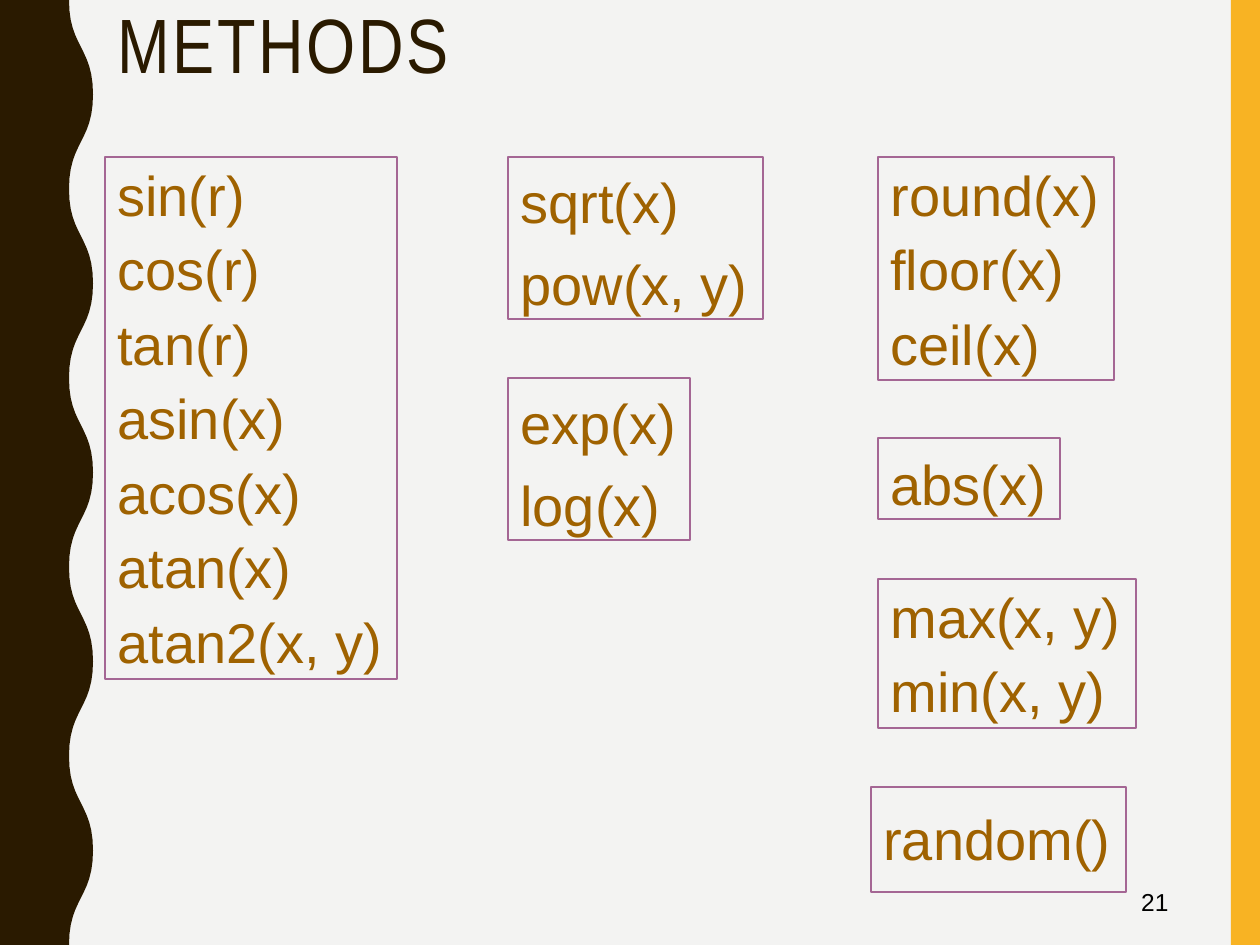
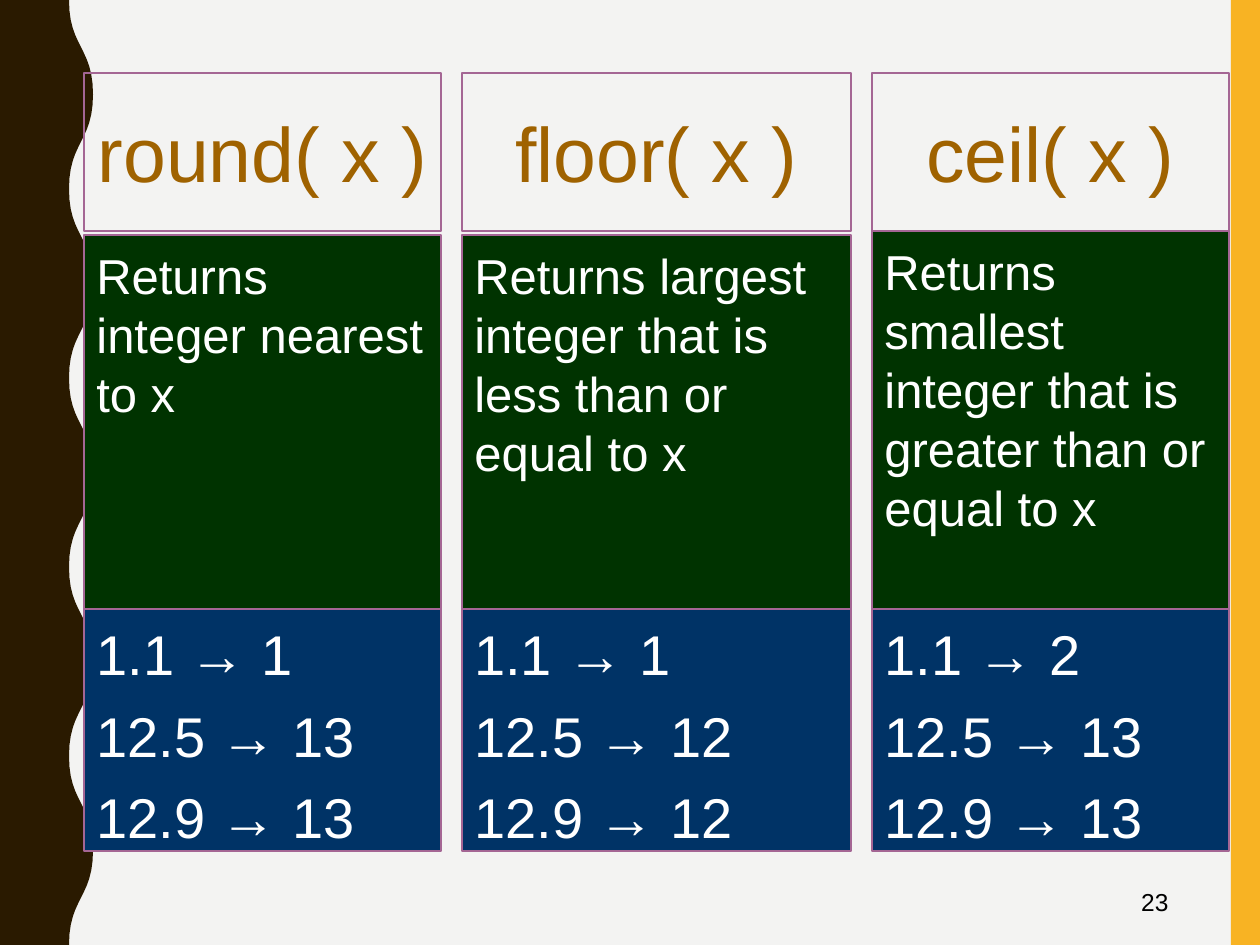
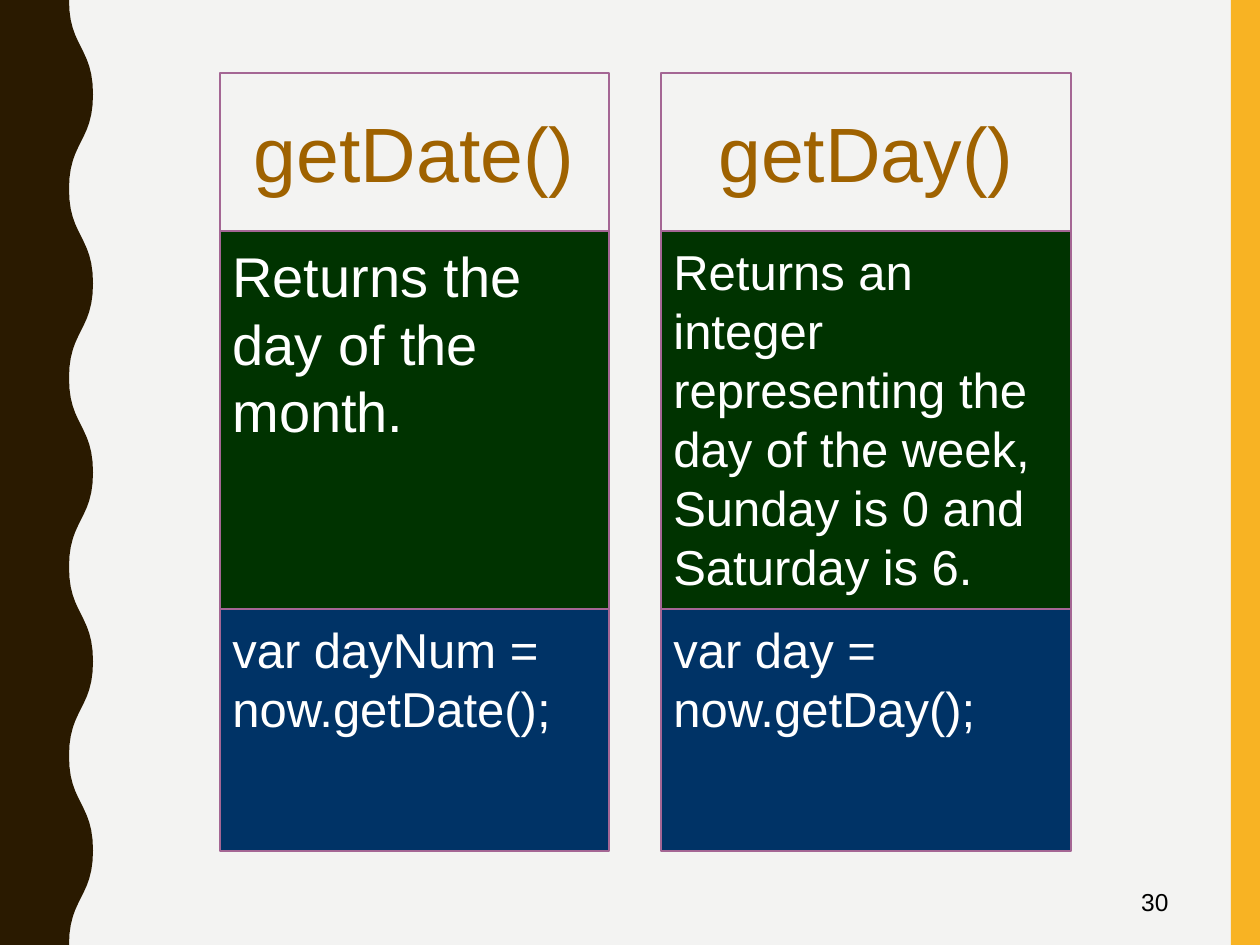
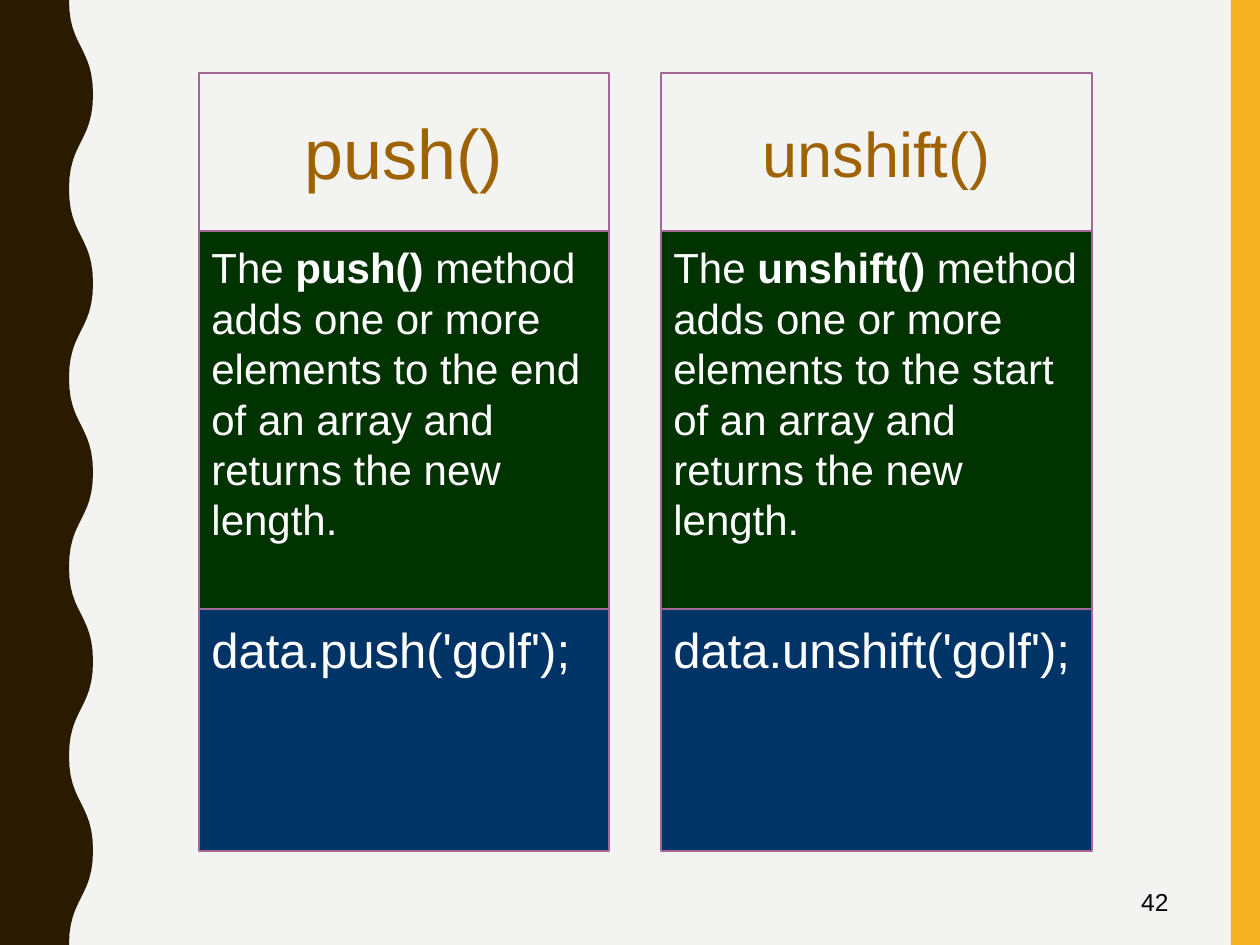
"""Build four slides of script method reference cards with a wavy side band."""
from pptx import Presentation
from pptx.dml.color import RGBColor
from pptx.enum.shapes import MSO_SHAPE
from pptx.enum.text import MSO_ANCHOR as ANCHOR, PP_ALIGN as ALIGN
from pptx.util import Emu, Pt

PX = 914400 / 126
WIDTH, HEIGHT = 1260, 945
COLORS = {
    "paper": "F3F3F2", "band": "2A1A00", "stripe": "F8B323", "outline": "A46694",
    "method": "9F6200", "green": "003300", "blue": "003366",
    "white": "FFFFFF", "black": "000000",
}
BASE = {
    "size": 32, "color": "method", "font": "Arial", "fill": None, "line": None,
    "anchor": ANCHOR.TOP, "align": ALIGN.LEFT, "wrap": True, "inset": 6,
    "spacing": 1.0, "tracking": 0,
}
TITLE = BASE | {"size": 44, "color": "band", "font": "Arial Narrow", "spacing": 0.9, "tracking": 150}
NUMBER = BASE | {"size": 14, "color": "black", "anchor": ANCHOR.MIDDLE, "align": ALIGN.RIGHT}
METHOD = BASE | {"fill": "paper", "line": 0.75, "wrap": False, "inset": 11}
HEADER = BASE | {"line": 0.75, "anchor": ANCHOR.MIDDLE, "align": ALIGN.CENTER}
DESCRIPTION = BASE | {"fill": "green", "color": "white", "line": 1, "inset": 11}
EXAMPLE = DESCRIPTION | {"fill": "blue"}


def rgb(name):
    return RGBColor.from_string(COLORS[name])


def add_box(slide, frame, lines, style):
    frame = [Emu(round(value * PX)) for value in frame]
    if style["fill"] or style["line"]:
        shape = slide.shapes.add_shape(MSO_SHAPE.RECTANGLE, *frame)
        shape.shadow.inherit = False
        if style["fill"]:
            shape.fill.solid()
            shape.fill.fore_color.rgb = rgb(style["fill"])
        else:
            shape.fill.background()
        if style["line"]:
            shape.line.color.rgb = rgb("outline")
            shape.line.width = Pt(style["line"])
        else:
            shape.line.fill.background()
    else:
        shape = slide.shapes.add_textbox(*frame)
    text_frame = shape.text_frame
    frame_format = {
        "word_wrap": style["wrap"],
        "vertical_anchor": style["anchor"],
        "margin_top": Emu(round(style["inset"] * PX)),
    }
    for name, value in frame_format.items():
        setattr(text_frame, name, value)
    for index, line in enumerate(lines):
        paragraph = text_frame.add_paragraph() if index else text_frame.paragraphs[0]
        paragraph.alignment = style["align"]
        paragraph.line_spacing = style["spacing"]
        if index:
            paragraph.space_before = Pt(8)
        for part, text in enumerate(line.split("**")):
            run = paragraph.add_run()
            run.text = text
            run.font.color.rgb = rgb(style["color"])
            font_format = {"name": style["font"], "size": Pt(style["size"]), "bold": part % 2 == 1}
            for name, value in font_format.items():
                setattr(run.font, name, value)
            if style["tracking"]:
                run.font._element.set("spc", str(style["tracking"]))


presentation = Presentation()
presentation.slide_width = Emu(round(WIDTH * PX))
presentation.slide_height = Emu(round(HEIGHT * PX))
background = presentation.slide_master.background.fill
background.solid()
background.fore_color.rgb = rgb("paper")

TROUGH, CREST, HALF_WAVES, STEPS = 69, 93, 10, 12
wave_points = [(TROUGH, 0)]
for half_wave in range(HALF_WAVES):
    for step in range(1, STEPS + 1):
        t = step / STEPS
        rise = 3 * t**2 - 2 * t**3
        if half_wave % 2:
            rise = 1 - rise
        drop = 1.5 * t * (1 - t) + t**3
        wave_points.append((TROUGH + (CREST - TROUGH) * rise, (half_wave + drop) * HEIGHT / HALF_WAVES))
wave_points += [(0, HEIGHT), (0, 0)]
wave_outline = [(x * PX, y * PX) for x, y in wave_points]

slides = []
for number in ("21", "23", "30", "42"):
    slide = presentation.slides.add_slide(presentation.slide_layouts[6])
    add_box(slide, (1231, 0, 29, HEIGHT), [], BASE | {"fill": "stripe"})
    builder = slide.shapes.build_freeform(*wave_outline[0])
    builder.add_line_segments(wave_outline[1:], close=True)
    wave = builder.convert_to_shape()
    wave.shadow.inherit = False
    wave.fill.solid()
    wave.fill.fore_color.rgb = rgb("band")
    wave.line.fill.background()
    add_box(slide, (890, 878, 291, 48), [number], NUMBER)
    slides.append(slide)

add_box(slides[0], (105, 1, 1071, 125), ["METHODS"], TITLE)
method_boxes = [
    ((871, 787, 255, 105), 1.1, ["random()"]),
    ((105, 157, 292, 522), 0.9,
     ["sin(r)", "cos(r)", "tan(r)", "asin(x)", "acos(x)", "atan(x)", "atan2(x, y)"]),
    ((878, 579, 258, 149), 0.9, ["max(x, y)", "min(x, y)"]),
    ((878, 157, 236, 223), 0.9, ["round(x)", "floor(x)", "ceil(x)"]),
    ((508, 378, 182, 162), 1.0, ["exp(x)", "log(x)"]),
    ((878, 438, 182, 81), 1.0, ["abs(x)"]),
    ((508, 157, 255, 162), 1.0, ["sqrt(x)", "pow(x, y)"]),
]
for frame, spacing, methods in method_boxes:
    add_box(slides[0], frame, methods, METHOD | {"spacing": spacing})

HEADER_TOP, DESCRIPTION_TOP, EXAMPLE_TOP, BOTTOM = 73, 231, 609, 851
cards = [
    (1, 84, 357, 4, (44, 28, 32), "round( x )", "Returns integer nearest to x",
     ["1.1 → 1", "12.5 → 13", "12.9 → 13"]),
    (1, 462, 389, 4, (44, 28, 32), "floor( x )",
     "Returns largest integer that is less than or equal to x",
     ["1.1 → 1", "12.5 → 12", "12.9 → 12"]),
    (1, 872, 357, 0, (44, 28, 32), "ceil( x )",
     "Returns smallest integer that is greater than or equal to x",
     ["1.1 → 2", "12.5 → 13", "12.9 → 13"]),
    (2, 220, 389, 0, (44, 32, 28), "getDate()", "Returns the day of the month.",
     ["var dayNum = now.getDate();"]),
    (2, 661, 410, 0, (44, 28, 28), "getDay()",
     "Returns an integer representing the day of the week, Sunday is 0 and Saturday is 6.",
     ["var day = now.getDay();"]),
    (3, 199, 410, 0, (40, 24, 28), "push()",
     "The **push()** method adds one or more elements to the end of an array and returns the new length.",
     ["data.push('golf');"]),
    (3, 661, 431, 0, (36, 24, 28), "unshift()",
     "The **unshift()** method adds one or more elements to the start of an array and returns the new length.",
     ["data.unshift('golf');"]),
]
for index, left, width, drop, sizes, name, description, examples in cards:
    rows = [
        (DESCRIPTION_TOP + drop, EXAMPLE_TOP + drop, [description], DESCRIPTION, sizes[1]),
        (HEADER_TOP, DESCRIPTION_TOP, [name], HEADER, sizes[0]),
        (EXAMPLE_TOP, BOTTOM, examples, EXAMPLE, sizes[2]),
    ]
    for top, bottom, lines, style, size in rows:
        add_box(slides[index], (left, top, width, bottom - top), lines, style | {"size": size})

presentation.save("out.pptx")
